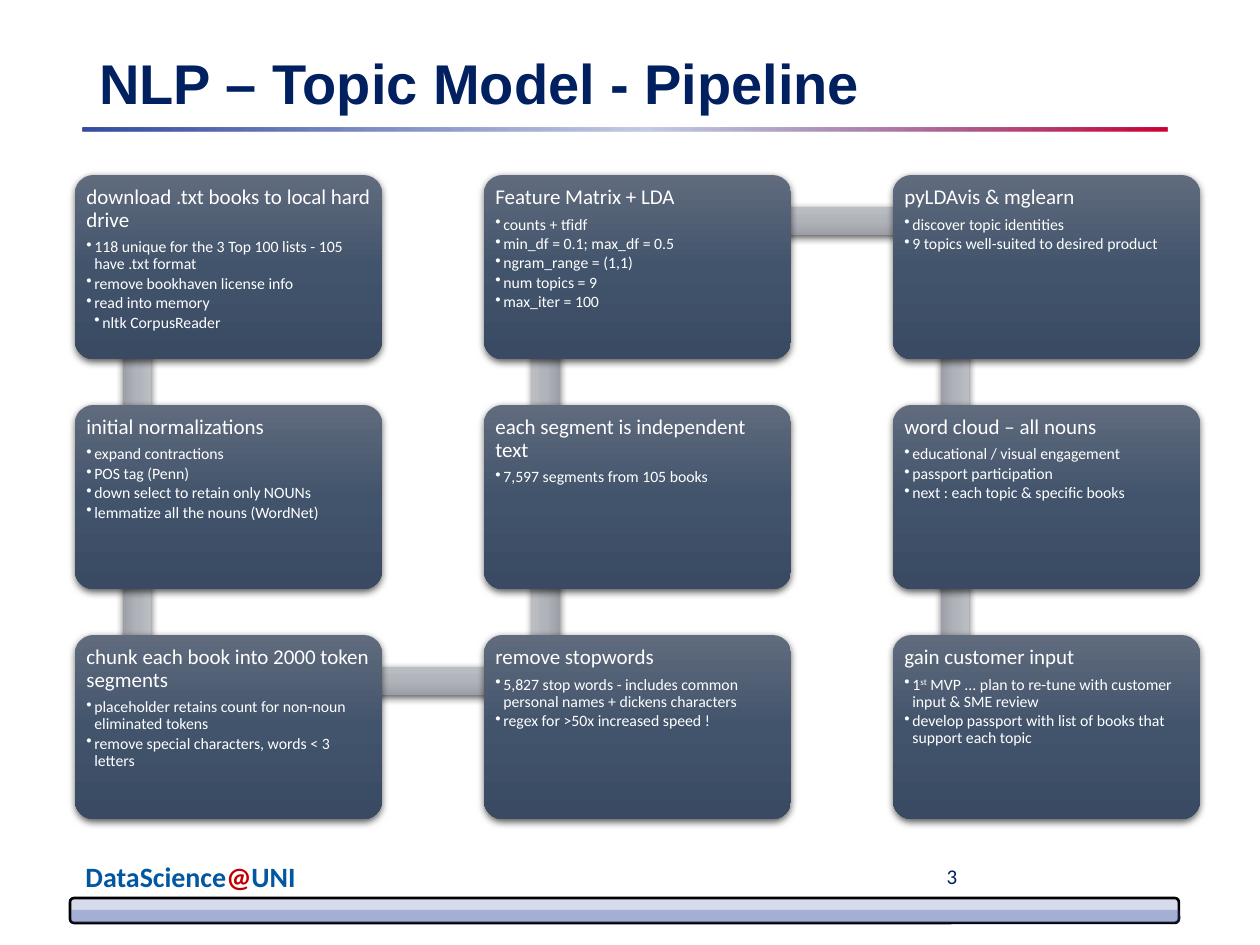
from dataclasses import dataclass
from itertools import zip_longest
from typing import NamedTuple

from lxml.etree import SubElement
from pptx import Presentation
from pptx.dml.color import RGBColor
from pptx.enum.shapes import MSO_SHAPE
from pptx.enum.text import MSO_ANCHOR, PP_ALIGN
from pptx.oxml.ns import qn
from pptx.util import Emu, Pt


class Stop(NamedTuple):
    place: int
    color: str
    alpha: int = 100


class Box(NamedTuple):
    left: int
    top: int
    width: int
    height: int


class Span(NamedTuple):
    text: str
    color: str
    size: float
    face: str = "Calibri"
    bold: bool = False
    lift: int = 0


class Point(NamedTuple):
    text: str
    level: int = 1


@dataclass(frozen=True)
class Step:
    col: int
    row: int
    head: str
    points: tuple[Point, ...]


@dataclass(frozen=True)
class Theme:
    navy: str = "002060"
    blue: str = "0257A1"
    red: str = "C00000"
    white: str = "FFFFFF"
    black: str = "000000"
    band: str = "354CA1"
    card: tuple = (Stop(0, "606B7D"), Stop(50, "42546C"), Stop(100, "394A62"))
    link: tuple = (Stop(0, "BABDC2"), Stop(50, "B0B3BA"), Stop(100, "9C9FA6"))
    rule: tuple = (Stop(0, "354CA1"), Stop(52, "354CA1", 29), Stop(100, "CC0035"))
    title: int = 32
    brand: int = 16
    page: int = 12
    head: int = 12
    body: int = 9


THEME = Theme()
SCALE = 914400 / 126
LEFT, TOP = 75, 175
PITCH_X, PITCH_Y = 409, 230
CARD_W, CARD_H = 307, 184
NODE_X, NODE_Y = 62, 46
LINK_H = 28
HANG = 8

STEPS = (
    Step(0, 0, "download .txt books to local hard drive", (
        Point("118 unique for the 3 Top 100 lists - 105 have .txt format"),
        Point("remove bookhaven license info"),
        Point("read into memory"),
        Point("nltk CorpusReader", 2))),
    Step(0, 1, "initial normalizations", (
        Point("expand contractions"),
        Point("POS tag (Penn)"),
        Point("down select to retain only NOUNs"),
        Point("lemmatize all the nouns (WordNet)"))),
    Step(0, 2, "chunk each book into 2000 token segments", (
        Point("placeholder retains count for non-noun eliminated tokens"),
        Point("remove special characters, words < 3 letters"))),
    Step(1, 2, "remove stopwords", (
        Point("5,827 stop words - includes common personal names + dickens characters"),
        Point("regex for >50x increased speed !"))),
    Step(1, 1, "each segment is independent text", (
        Point("7,597 segments from 105 books"),)),
    Step(1, 0, "Feature Matrix + LDA", (
        Point("counts + tfidf"),
        Point("min_df = 0.1; max_df = 0.5"),
        Point("ngram_range = (1,1)"),
        Point("num topics = 9"),
        Point("max_iter = 100"))),
    Step(2, 0, "pyLDAvis & mglearn", (
        Point("discover topic identities"),
        Point("9 topics well-suited to desired product"))),
    Step(2, 1, "word cloud – all nouns", (
        Point("educational / visual engagement"),
        Point("passport participation"),
        Point("next : each topic & specific books"))),
    Step(2, 2, "gain customer input", (
        Point("1^st^ MVP ... plan to re-tune with customer input & SME review"),
        Point("develop passport with list of books that support each topic"))),
)


def px(count: int) -> Emu:
    return Emu(round(count * SCALE))


def add_color(node, color: str, alpha: int) -> None:
    tint = SubElement(node, qn("a:srgbClr"), val=color)
    if alpha < 100:
        SubElement(tint, qn("a:alpha"), val=str(alpha * 1000))


def paint(shape, stops: tuple[Stop, ...], angle: int) -> None:
    shape.fill.background()
    props = shape.fill._xPr
    blank = props.find(qn("a:noFill"))
    if len(stops) == 1:
        fill = SubElement(props, qn("a:solidFill"))
        add_color(fill, stops[0].color, stops[0].alpha)
    else:
        fill = SubElement(props, qn("a:gradFill"), rotWithShape="1")
        group = SubElement(fill, qn("a:gsLst"))
        for stop in stops:
            node = SubElement(group, qn("a:gs"), pos=str(stop.place * 1000))
            add_color(node, stop.color, stop.alpha)
        SubElement(fill, qn("a:lin"), ang=str(angle * 60000), scaled="0")
    props.replace(blank, fill)


def add_shape(slide, kind, box: Box, stops: tuple[Stop, ...], angle: int = 90,
              shade: bool = False):
    shape = slide.shapes.add_shape(kind, *map(px, box))
    paint(shape, stops, angle)
    shape.line.fill.background()
    shape.shadow.inherit = False
    if shade:
        glow = SubElement(shape.fill._xPr.find(qn("a:effectLst")), qn("a:outerShdw"),
                          blurRad=str(Pt(4.5)), dist=str(Pt(1.5)),
                          dir="5400000", rotWithShape="0")
        add_color(glow, THEME.black, 63)
    return shape


def add_span(para, span: Span) -> None:
    run = para.add_run()
    run.text = span.text
    font = run.font
    font.name, font.size, font.bold = span.face, Pt(span.size), span.bold
    font.color.rgb = RGBColor.from_string(span.color)
    if span.lift:
        run._r.get_or_add_rPr().set("baseline", str(span.lift * 1000))


def add_label(slide, box: Box, spans: tuple[Span, ...], align, anchor) -> None:
    frame = slide.shapes.add_textbox(*map(px, box)).text_frame
    frame.word_wrap = True
    frame.vertical_anchor = anchor
    para = frame.paragraphs[0]
    para.alignment = align
    para.line_spacing = 0.9
    for span in spans:
        add_span(para, span)


def add_point(frame, point: Point) -> None:
    para = frame.add_paragraph()
    para.level = point.level
    para.alignment = PP_ALIGN.LEFT
    para.line_spacing = 0.9
    para.space_after = Pt(0.15 * THEME.body)
    props = para._p.get_or_add_pPr()
    props.set("marL", str(px(HANG * point.level)))
    props.set("indent", str(px(-HANG)))
    SubElement(props, qn("a:buChar"), char="•")
    for index, text in enumerate(point.text.split("^")):
        add_span(para, Span(text, THEME.white, THEME.body, lift=30 * (index % 2)))


def add_link(slide, start: Step, end: Step) -> None:
    across, down = end.col - start.col, end.row - start.row
    length = PITCH_X if across else PITCH_Y
    mid_x = LEFT + NODE_X + (start.col + end.col) * PITCH_X // 2
    mid_y = TOP + NODE_Y + (start.row + end.row) * PITCH_Y // 2
    box = Box(mid_x - length // 2, mid_y - LINK_H // 2, length, LINK_H)
    bar = add_shape(slide, MSO_SHAPE.RECTANGLE, box, THEME.link, shade=True)
    bar.rotation = 90 * down % 360


def add_card(slide, step: Step) -> None:
    box = Box(LEFT + step.col * PITCH_X, TOP + step.row * PITCH_Y, CARD_W, CARD_H)
    card = add_shape(slide, MSO_SHAPE.ROUNDED_RECTANGLE, box, THEME.card, shade=True)
    card.adjustments[0] = 0.1
    frame = card.text_frame
    frame.word_wrap = True
    frame.vertical_anchor = MSO_ANCHOR.TOP
    frame.margin_left = frame.margin_right = frame.margin_top = frame.margin_bottom = px(6)
    para = frame.paragraphs[0]
    para.alignment = PP_ALIGN.LEFT
    para.line_spacing = 0.9
    para.space_after = Pt(0.35 * THEME.head)
    add_span(para, Span(step.head, THEME.white, THEME.head))
    for point in step.points:
        add_point(frame, point)


def add_frame(slide) -> None:
    brand = tuple(Span(text, color, THEME.brand, bold=True) for text, color in (
        ("DataScience", THEME.blue), ("@", THEME.red), ("UNI", THEME.blue)))
    add_label(slide, Box(60, 857, 261, 67), brand, PP_ALIGN.CENTER, MSO_ANCHOR.TOP)
    round_box = MSO_SHAPE.ROUNDED_RECTANGLE
    base = add_shape(slide, round_box, Box(70, 898, 1109, 25), (Stop(0, THEME.band, 20),))
    base.line.color.rgb = RGBColor.from_string(THEME.black)
    base.line.width = Pt(1.5)
    add_shape(slide, round_box, Box(71, 910, 1109, 13), (Stop(0, THEME.band, 30),))
    add_shape(slide, round_box, Box(83, 128, 1084, 3), THEME.rule, angle=0)
    title = Span("NLP – Topic Model - Pipeline", THEME.navy, THEME.title, "Arial", True)
    add_label(slide, Box(87, 50, 1086, 72), (title,), PP_ALIGN.LEFT, MSO_ANCHOR.MIDDLE)
    page = Span("3", THEME.navy, THEME.page)
    add_label(slide, Box(887, 861, 130, 34), (page,), PP_ALIGN.CENTER, MSO_ANCHOR.MIDDLE)


def main() -> None:
    deck = Presentation()
    deck.slide_width, deck.slide_height = px(1260), px(945)
    slide = deck.slides.add_slide(deck.slide_layouts[6])
    add_frame(slide)
    for step, after in zip_longest(STEPS, STEPS[1:]):
        if after:
            add_link(slide, step, after)
        add_card(slide, step)
    deck.save("out.pptx")


if __name__ == "__main__":
    main()
